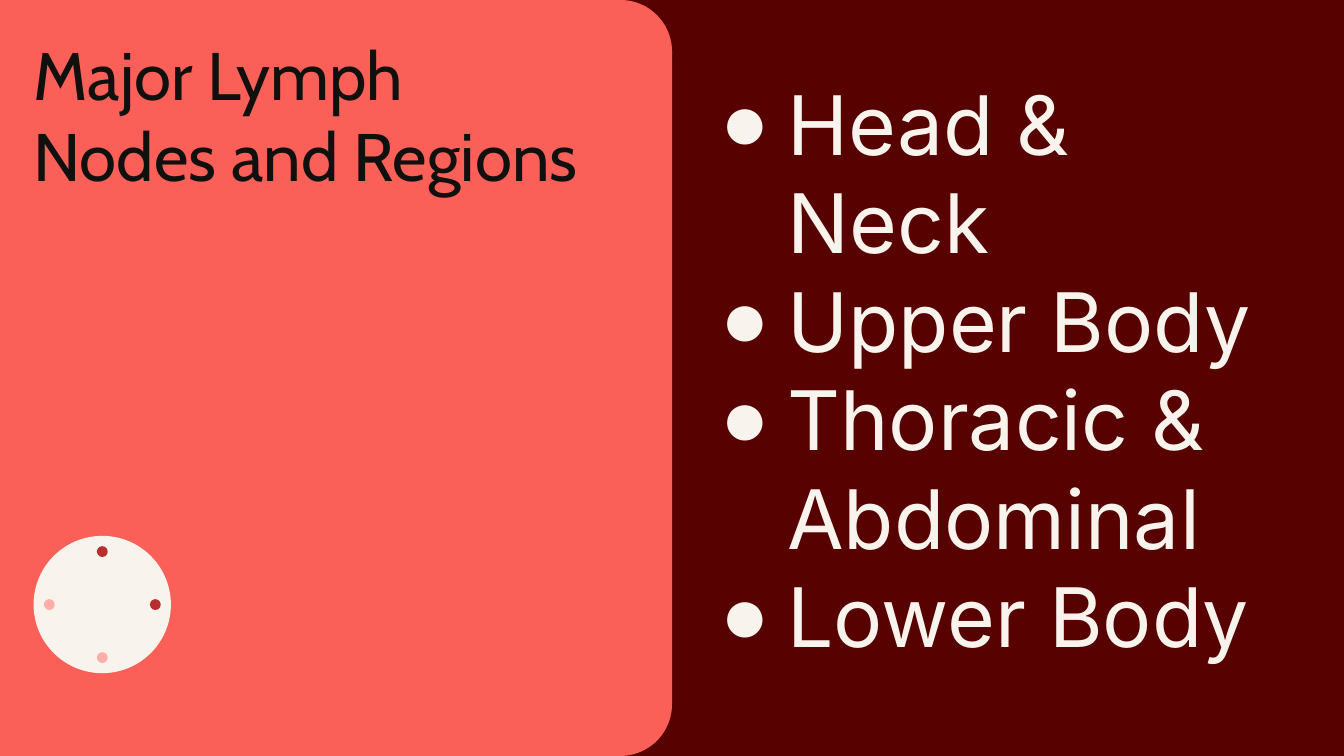
from lxml.etree import SubElement
from pptx import Presentation
from pptx.dml.color import RGBColor as RGB
from pptx.enum.shapes import MSO_SHAPE as Shape
from pptx.enum.text import MSO_ANCHOR as Anchor
from pptx.oxml.ns import qn
from pptx.util import Pt

MAROON = RGB(0x57, 0x01, 0x00)
CORAL = RGB(0xFB, 0x60, 0x58)
CREAM = RGB(0xF8, 0xF3, 0xEC)
INK = RGB(0x10, 0x10, 0x0F)
RED = RGB(0xB8, 0x2D, 0x2D)
PINK = RGB(0xFF, 0xAD, 0xA8)

WIDTH, HEIGHT = 720, 405
TITLE = {"name": "Cabin", "size": Pt(36)}
LIST = {"name": "Inter", "size": Pt(44)}
REGIONS = ["Head & Neck", "Upper Body", "Thoracic & Abdominal", "Lower Body"]


def add_shape(shapes, kind, box, fill):
    shape = shapes.add_shape(kind, *map(Pt, box))
    shape.shadow.inherit = False
    shape.fill.solid()
    shape.fill.fore_color.rgb = fill
    shape.line.fill.background()
    return shape


def add_bullet(para, color):
    props = para._p.get_or_add_pPr()
    props.set("marL", str(Pt(36)))
    props.set("indent", str(-Pt(40.25)))
    tint = SubElement(SubElement(props, qn("a:buClr")), qn("a:srgbClr"))
    tint.set("val", str(color))
    SubElement(props, qn("a:buFont")).set("typeface", "Arial")
    SubElement(props, qn("a:buChar")).set("char", "●")


def add_text(shapes, box, lines, style, color, inset=0, bullets=False):
    frame = shapes.add_textbox(*map(Pt, box)).text_frame
    frame.word_wrap = True
    frame.vertical_anchor = Anchor.TOP
    for side in ("left", "top", "right", "bottom"):
        setattr(frame, f"margin_{side}", Pt(inset))
    frame.text = "\n".join(lines)
    for para in frame.paragraphs:
        if bullets:
            add_bullet(para, color)
        for run in para.runs:
            for key, value in style.items():
                setattr(run.font, key, value)
            run.font.color.rgb = color


def add_panel(shapes, box):
    """Fill the box with a panel whose right corners are round."""
    left, top, width, height = box
    shift = (width - height) / 2
    turned = (left + shift, top - shift, height, width)
    panel = add_shape(shapes, Shape.ROUND_2_SAME_RECTANGLE, turned, CORAL)
    panel.adjustments[0] = 0.077
    panel.adjustments[1] = 0
    panel.rotation = 90


def add_dial(shapes, box):
    """Draw a disc with a dot near each of its four sides."""
    left, top, size, _ = box
    group = shapes.add_group_shape().shapes
    add_shape(group, Shape.OVAL, box, CREAM)
    dot, reach = 5.8, 28.4
    for dx, dy, color in [(0, -1, RED), (0, 1, PINK), (1, 0, RED), (-1, 0, PINK)]:
        x = left + (size - dot) / 2 + dx * reach
        y = top + (size - dot) / 2 + dy * reach
        add_shape(group, Shape.OVAL, (x, y, dot, dot), color)


def add_left(shapes, box):
    left, top, _, height = box
    add_panel(shapes, box)
    add_text(shapes, (left + 18, top + 18, 292.5, 131),
             ["Major Lymph Nodes and Regions"], TITLE, INK)
    size = 73.6
    add_dial(shapes, (left + 18, top + height - 44.3 - size, size, size))


def add_right(shapes, box):
    left, top, _, _ = box
    add_text(shapes, (left + 18.75, top + 32, 310.3, 329),
             REGIONS, LIST, CREAM, inset=7.2, bullets=True)


def main():
    deck = Presentation()
    deck.slide_width, deck.slide_height = Pt(WIDTH), Pt(HEIGHT)
    slide = deck.slides.add_slide(deck.slide_layouts[6])
    slide.background.fill.solid()
    slide.background.fill.fore_color.rgb = MAROON
    half = WIDTH / 2
    add_left(slide.shapes, (0, 0, half, HEIGHT))
    add_right(slide.shapes, (half, 0, half, HEIGHT))
    deck.save("out.pptx")


if __name__ == "__main__":
    main()
